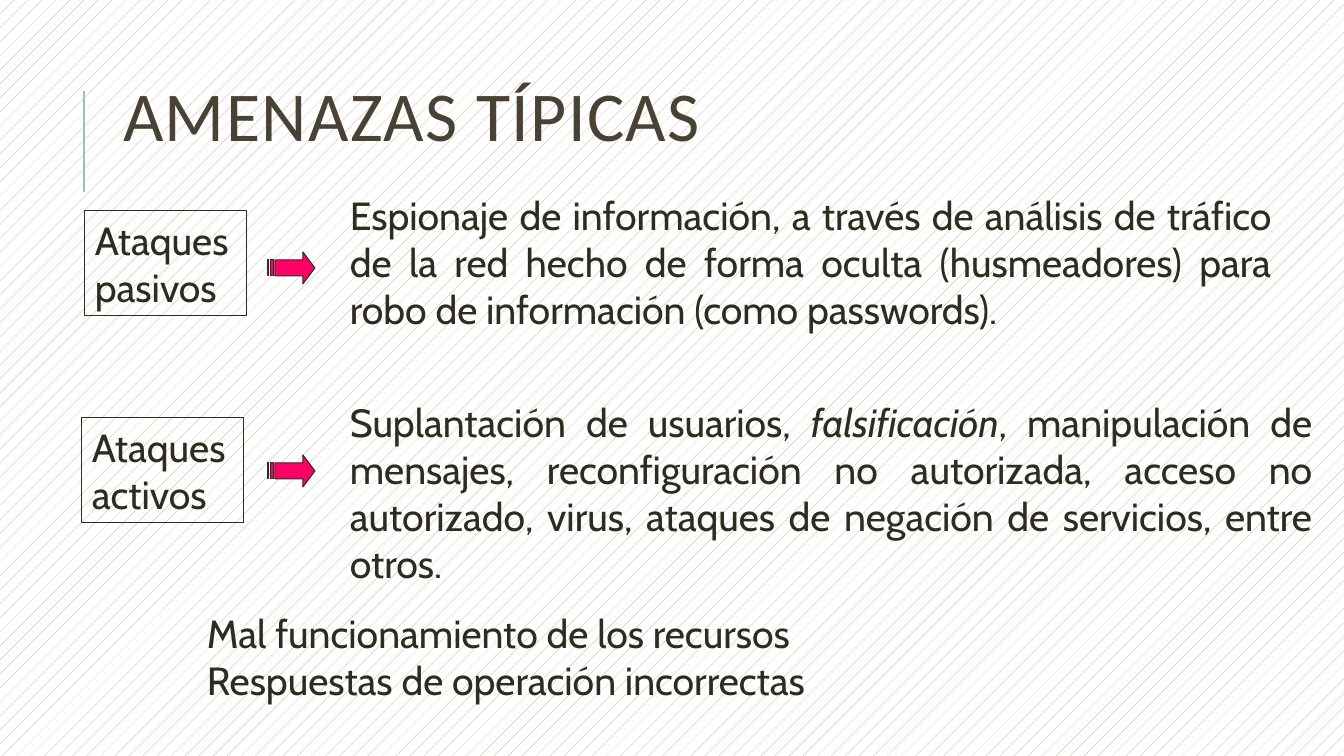
from dataclasses import dataclass

from lxml.etree import SubElement
from pptx import Presentation
from pptx.dml.color import RGBColor
from pptx.enum.dml import MSO_PATTERN
from pptx.enum.shapes import MSO_CONNECTOR, MSO_SHAPE
from pptx.enum.text import MSO_ANCHOR, MSO_AUTO_SIZE, PP_ALIGN
from pptx.oxml.ns import qn
from pptx.util import Emu, Pt

PX = 914400 / 100.8
INK = "2E2B21"
PINK = "FF0066"
ARROW_HEAD = [(35, 0), (35, 8), (7, 8), (7, 24), (35, 24), (35, 32), (47, 16)]
ARROW_BARS = [(3, 6), (0, 1)]


@dataclass(frozen=True)
class Box:
    left: int
    top: int
    width: int
    height: int


@dataclass(frozen=True)
class Run:
    text: str
    italic: bool = False


@dataclass(frozen=True)
class TextBlock:
    box: Box
    paragraphs: list[list[Run]]
    align: PP_ALIGN = PP_ALIGN.JUSTIFY
    anchor: MSO_ANCHOR = MSO_ANCHOR.MIDDLE
    framed: bool = False


@dataclass(frozen=True)
class Arrow:
    left: int
    top: int


DESCRIPTIONS = [
    TextBlock(Box(340, 392, 982, 201), [[
        Run("Suplantación de usuarios, "),
        Run("falsificación", italic=True),
        Run(", manipulación de mensajes, reconfiguración no autorizada, acceso no "
            "autorizado, virus, ataques de negación de servicios, entre otros."),
    ]]),
    TextBlock(Box(340, 186, 941, 152), [[
        Run("Espionaje de información, a través de análisis de tráfico de la red hecho "
            "de forma oculta (husmeadores) para robo de información (como passwords)."),
    ]], anchor=MSO_ANCHOR.TOP),
]
ATTACKS = [
    TextBlock(Box(left, top, 162, 105), [[Run(name)]], PP_ALIGN.LEFT, MSO_ANCHOR.TOP, True)
    for left, top, name in [(85, 211, "Ataques pasivos"), (82, 418, "Ataques activos")]
]
CONSEQUENCES = TextBlock(Box(197, 604, 826, 105), [
    [Run("Mal funcionamiento de los recursos")],
    [Run("Respuestas de operación incorrectas")],
])
ARROWS = [Arrow(268, 252), Arrow(268, 455)]


def px(length: int) -> Emu:
    """Turn a length in px into EMU."""
    return Emu(round(length * PX))


def colour(value: str) -> RGBColor:
    """Turn a hex string into a colour."""
    return RGBColor.from_string(value)


def place(box: Box) -> tuple[Emu, Emu, Emu, Emu]:
    """Give the position and size of a box in EMU."""
    return px(box.left), px(box.top), px(box.width), px(box.height)


def assign(target: object, values: dict[str, object]) -> None:
    """Set each named attribute on the target."""
    for name, value in values.items():
        setattr(target, name, value)


def outline(line: object, value: str, width: float) -> None:
    """Give a line its colour and width in points."""
    line.color.rgb = colour(value)
    line.width = Pt(width)


def draw_text(slide: object, block: TextBlock) -> None:
    """Draw a block of text, with a frame where it has one."""
    if block.framed:
        holder = slide.shapes.add_shape(MSO_SHAPE.RECTANGLE, *place(block.box))
        holder.shadow.inherit = False
        holder.fill.background()
        outline(holder.line, INK, 0.75)
    else:
        holder = slide.shapes.add_textbox(*place(block.box))
    frame = holder.text_frame
    assign(frame, {"word_wrap": True, "vertical_anchor": block.anchor,
                   "auto_size": MSO_AUTO_SIZE.SHAPE_TO_FIT_TEXT})
    for index, runs in enumerate(block.paragraphs):
        paragraph = frame.add_paragraph() if index else frame.paragraphs[0]
        paragraph.alignment = block.align
        for item in runs:
            run = paragraph.add_run()
            run.text = item.text
            assign(run.font, {"name": "Cabin", "size": Pt(28), "italic": item.italic})
            run.font.color.rgb = colour(INK)


def draw_arrow(slide: object, arrow: Arrow) -> None:
    """Draw a right arrow with two bars at its tail."""
    builder = slide.shapes.build_freeform(*ARROW_HEAD[0], scale=PX)
    builder.add_line_segments(ARROW_HEAD[1:], close=True)
    for start, end in ARROW_BARS:
        builder.move_to(start, 8)
        builder.add_line_segments([(start, 24), (end, 24), (end, 8)], close=True)
    shape = builder.convert_to_shape(px(arrow.left), px(arrow.top))
    shape.shadow.inherit = False
    shape.fill.solid()
    shape.fill.fore_color.rgb = colour(PINK)
    outline(shape.line, INK, 0.75)


def draw_title(slide: object, text: str) -> None:
    """Fill and format the title placeholder."""
    title = slide.shapes.title
    left, top, width, height = place(Box(113, 65, 1072, 112))
    assign(title, {"left": left, "top": top, "width": width, "height": height})
    assign(title.text_frame, {"word_wrap": True, "vertical_anchor": MSO_ANCHOR.MIDDLE,
                              "auto_size": MSO_AUTO_SIZE.NONE})
    paragraph = title.text_frame.paragraphs[0]
    assign(paragraph, {"alignment": PP_ALIGN.LEFT, "line_spacing": 0.8})
    run = paragraph.add_run()
    run.text = text
    assign(run.font, {"name": "Calibri", "size": Pt(50)})
    run.font.color.rgb = colour("474233")
    run.font._element.set("spc", "100")


def draw_accent(slide: object) -> None:
    """Draw the upright line beside the title."""
    accent = slide.shapes.add_connector(MSO_CONNECTOR.STRAIGHT, px(84), px(192), px(84), px(91))
    outline(accent.line, "9CBEBD", 1.5)
    SubElement(accent._element.spPr, qn("a:effectLst"))


def main() -> None:
    """Build the slide and save it."""
    deck = Presentation()
    assign(deck, {"slide_width": px(1344), "slide_height": px(756)})
    slide = deck.slides.add_slide(deck.slide_layouts.get_by_name("Title Only"))
    backdrop = slide.background.fill
    backdrop.patterned()
    backdrop.pattern = MSO_PATTERN.PERCENT_5
    backdrop.fore_color.rgb = colour("A9A57C")
    backdrop.back_color.rgb = colour("FFFFFF")
    draw_accent(slide)
    for block in DESCRIPTIONS + ATTACKS:
        draw_text(slide, block)
    for arrow in ARROWS:
        draw_arrow(slide, arrow)
    draw_text(slide, CONSEQUENCES)
    draw_title(slide, "AMENAZAS TÍPICAS")
    deck.save("out.pptx")


if __name__ == "__main__":
    main()
